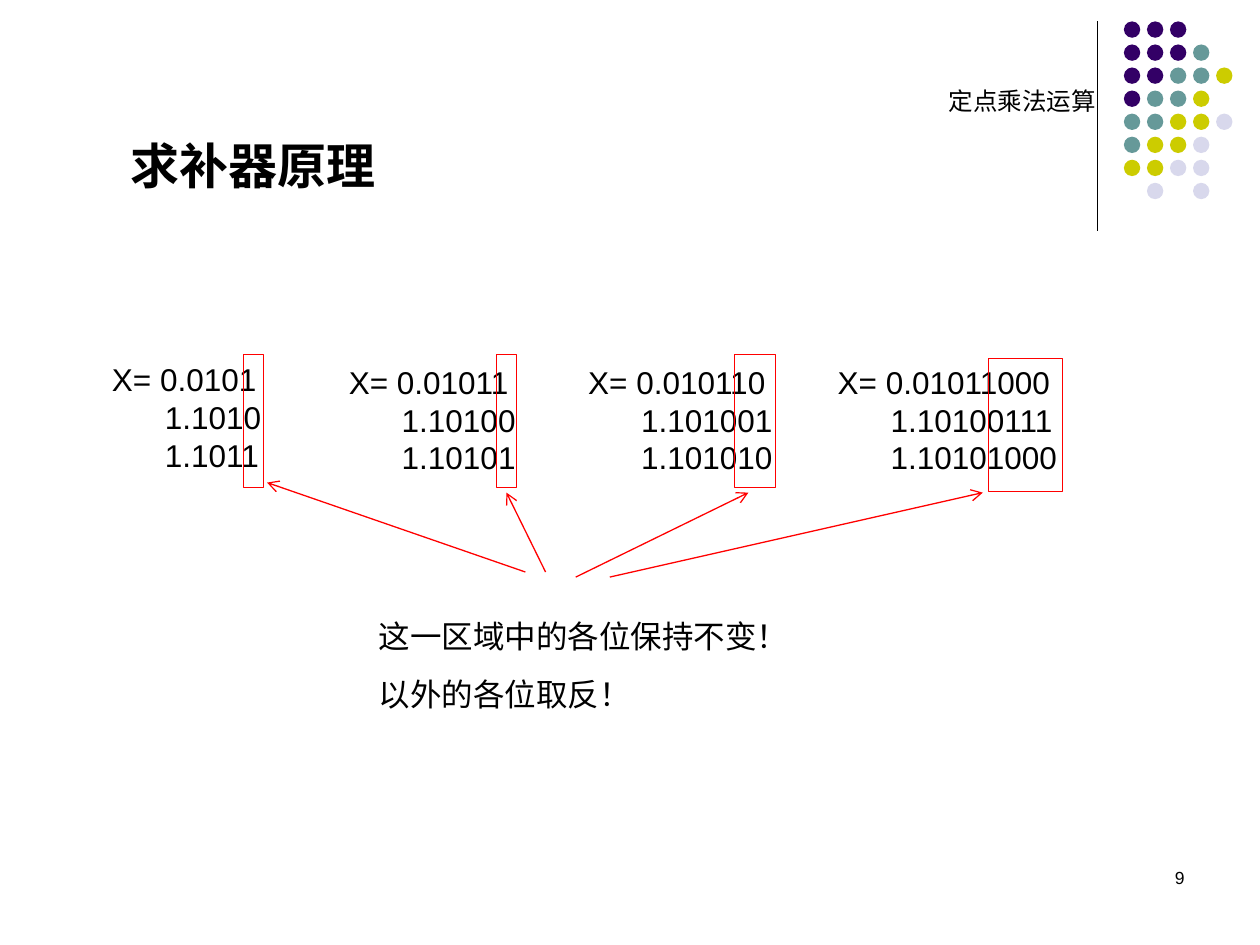
import pptx
import pptx.util
import pptx.dml.color
import pptx.enum.shapes
import pptx.enum.text
import pptx.oxml
import pptx.oxml.ns

Inches, Pt = pptx.util.Inches, pptx.util.Pt
RGBColor = pptx.dml.color.RGBColor
Shape = pptx.enum.shapes.MSO_SHAPE
Align = pptx.enum.text.PP_ALIGN

BLACK = RGBColor(0x00, 0x00, 0x00)
RED = RGBColor(0xFF, 0x00, 0x00)
DOTS = {
    "P": RGBColor(0x33, 0x00, 0x66),
    "T": RGBColor(0x66, 0x99, 0x99),
    "Y": RGBColor(0xCC, 0xCC, 0x00),
    "L": RGBColor(0xD8, 0xD8, 0xEC),
}

deck = pptx.Presentation()
deck.slide_width, deck.slide_height = Inches(10), Inches(7.5)
slide = deck.slides.add_slide(deck.slide_layouts[6])
shapes = slide.shapes


def add_text(left, top, width, height, lines, size, wrap=True, bold=False,
             inset=True, gap=0, indent=0, align=Align.LEFT):
    """Add a text box; gap and indent apply to the lines after the first."""
    box = shapes.add_textbox(Inches(left), Inches(top), Inches(width), Inches(height))
    frame = box.text_frame
    frame.word_wrap = wrap
    if not inset:
        frame.margin_left = frame.margin_right = 0
        frame.margin_top = frame.margin_bottom = 0
    for i, line in enumerate(lines):
        para = frame.paragraphs[0] if i == 0 else frame.add_paragraph()
        para.alignment = align
        if i and gap:
            para.space_before = Pt(gap)
        if i and indent:
            para._p.get_or_add_pPr().set("marL", str(Inches(indent)))
        run = para.add_run()
        run.text = line
        run.font.name = "Arial"
        run.font.size = Pt(size)
        run.font.bold = bold
        run.font.color.rgb = BLACK


def add_line(x1, y1, x2, y2, color, arrow=False):
    """Add a thin straight line, with an open arrowhead at its end if asked."""
    line = shapes.add_connector(pptx.enum.shapes.MSO_CONNECTOR.STRAIGHT,
                                Inches(x1), Inches(y1), Inches(x2), Inches(y2))
    line.line.color.rgb = color
    line.line.width = Pt(0.75)
    if arrow:
        tail = pptx.oxml.parse_xml(
            f'<a:tailEnd {pptx.oxml.ns.nsdecls("a")} type="arrow"/>')
        line.line._get_or_add_ln().append(tail)
    line._element.spPr.append(
        pptx.oxml.parse_xml(f'<a:effectLst {pptx.oxml.ns.nsdecls("a")}/>'))


# Corner rule and dot pattern
add_line(8.71, 0.17, 8.71, 1.83, BLACK)
pitch = 0.183
rows = ["PPP", "PPPT", "PPTTY", "PTTY", "TTYYL", "TYYL", "YYLL", " L L"]
for r, row in enumerate(rows):
    for c, key in enumerate(row):
        if key in DOTS:
            dot = shapes.add_shape(Shape.OVAL, Inches(8.92 + c * pitch),
                                   Inches(0.17 + r * pitch), Inches(0.13), Inches(0.13))
            dot.shadow.inherit = False
            dot.fill.solid()
            dot.fill.fore_color.rgb = DOTS[key]
            dot.line.fill.background()

# Title and section name
add_text(0.94, 1.03, 2.4, 0.57, ["求补器原理"], 28, bold=True)
add_text(7.53, 0.68, 1.17, 0.23, ["定点乘法运算"], 14, wrap=False, inset=False)

# Worked numbers: left, top, width, lines; each box is wider than its longest line
sums = [
    (0.79, 2.81, 1.45, ["X= 0.0101", "1.1010", "1.1011"]),
    (2.67, 2.83, 1.6, ["X= 0.01011", "1.10100", "1.10101"]),
    (4.57, 2.83, 1.74, ["X= 0.010110", "1.101001", "1.101010"]),
    (6.55, 2.83, 2.02, ["X= 0.01011000", "1.10100111", "1.10101000"]),
]
for left, top, width, lines in sums:
    add_text(left, top, width, 1, lines, 18, indent=0.42)

# Frames round the bits that stay the same
for left, top, width in [(1.93, 2.81, 0.16), (3.94, 2.81, 0.16),
                         (5.83, 2.81, 0.32), (7.84, 2.84, 0.59)]:
    frame = shapes.add_shape(Shape.RECTANGLE, Inches(left), Inches(top),
                             Inches(width), Inches(1.06))
    frame.shadow.inherit = False
    frame.fill.background()
    frame.line.color.rgb = RED
    frame.line.width = Pt(0.25)

# Arrows from the note to the frames
for ends in [(4.33, 4.54, 4.02, 3.91), (4.17, 4.54, 2.12, 3.83),
             (4.57, 4.58, 5.94, 3.91), (4.84, 4.58, 7.8, 3.91)]:
    add_line(*ends, RED, arrow=True)

# Note and page number
add_text(2.91, 4.85, 3.5, 0.86, ["这一区域中的各位保持不变！", "以外的各位取反！"], 18, gap=11.2)
add_text(7.17, 6.83, 2.33, 0.5, ["9"], 10, align=Align.RIGHT)

deck.save("out.pptx")
